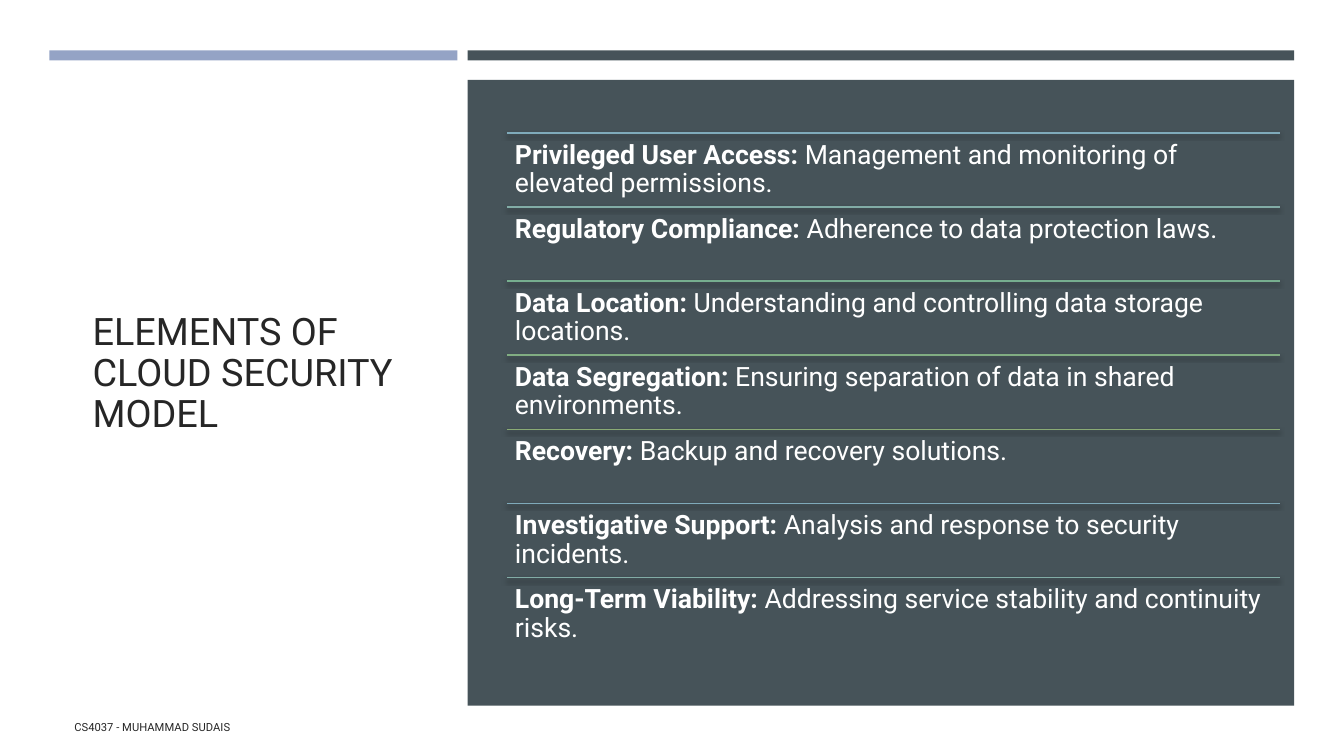
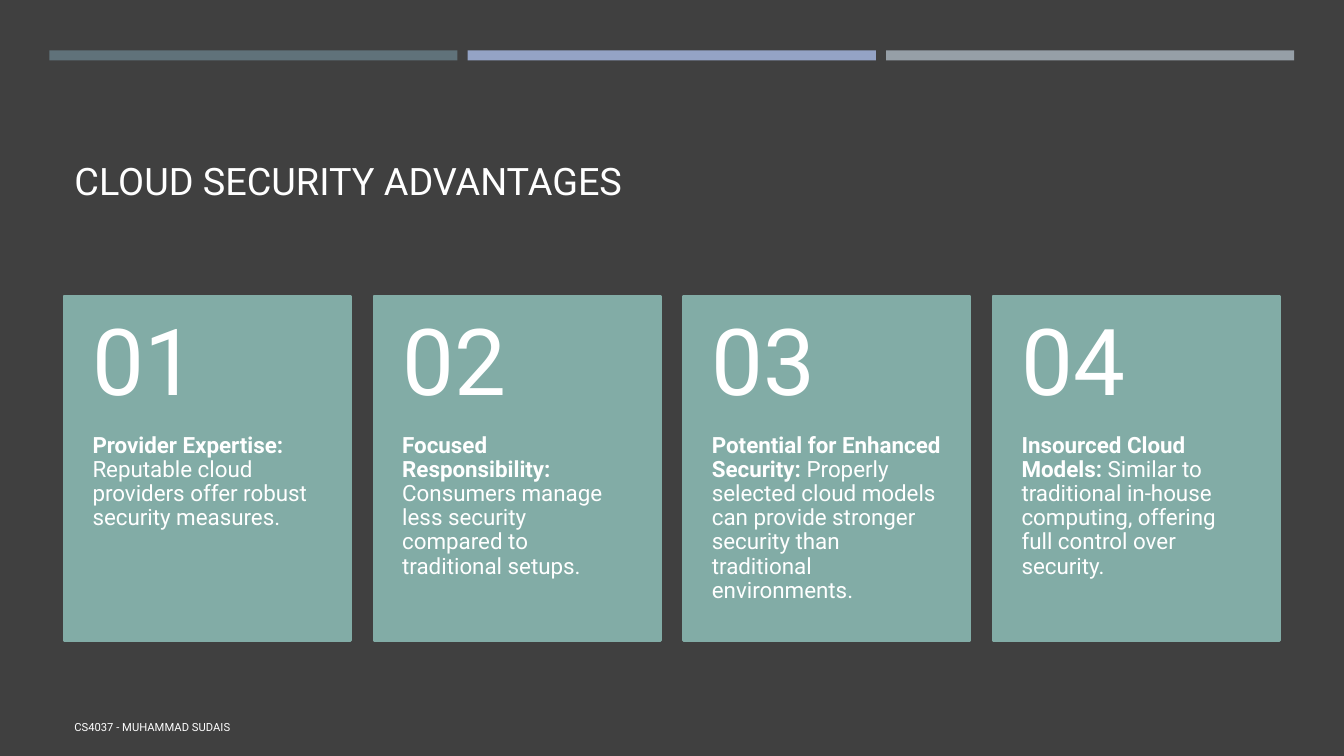
from lxml import etree
from pptx import Presentation
from pptx.dml.color import RGBColor
from pptx.enum.shapes import MSO_CONNECTOR as Connector, MSO_SHAPE as Shape
from pptx.enum.text import MSO_ANCHOR as Anchor, MSO_AUTO_SIZE as AutoSize, PP_ALIGN as Align
from pptx.oxml.ns import qn
from pptx.util import Pt

COLORS = {
    "white": "FFFFFF", "ink": "262626", "charcoal": "404040", "black": "000000",
    "slate": "465359", "steel": "60727A", "lavender": "94A3C5", "gray": "969FA7",
    "teal": "82ACA6", "blue": "7FAABA", "green": "77AE8F", "leaf": "81AD82",
    "olive": "8AAB75",
}
FONT = "Roboto"
FOOTER = "CS4037 - MUHAMMAD SUDAIS"
RULE_COLORS = ["blue", "teal", "green", "leaf", "olive"]

ELEMENTS = {
    "title": "ELEMENTS OF CLOUD SECURITY MODEL",
    "background": "white", "text": "ink",
    "title_area": (59, 82, 240.5, 371), "title_anchor": Anchor.MIDDLE,
    "bands": [("lavender", 1), ("slate", 2)],
    "items": [
        ("Privileged User Access:", " Management and monitoring of elevated permissions."),
        ("Regulatory Compliance:", " Adherence to data protection laws."),
        ("Data Location:", " Understanding and controlling data storage locations."),
        ("Data Segregation:", " Ensuring separation of data in shared environments."),
        ("Recovery:", " Backup and recovery solutions."),
        ("Investigative Support:", " Analysis and response to security incidents."),
        ("Long-Term Viability:", " Addressing service stability and continuity risks."),
    ],
}
ADVANTAGES = {
    "title": "CLOUD SECURITY ADVANTAGES",
    "background": "charcoal", "text": "white",
    "title_area": (46, 55.5, 868, 93.5), "title_anchor": Anchor.BOTTOM,
    "bands": [("steel", 1), ("lavender", 1), ("gray", 1)],
    "items": [
        ("Provider Expertise:", " Reputable cloud providers offer robust security measures."),
        ("Focused Responsibility:",
         " Consumers manage less security compared to traditional setups."),
        ("Potential for Enhanced Security:",
         " Properly selected cloud models can provide stronger security than "
         "traditional environments."),
        ("Insourced Cloud Models:",
         " Similar to traditional in-house computing, offering full control over security."),
    ],
}

BAND_LEFT, BAND_TOP, BAND_HEIGHT = 35.2, 36, 7.2
COLUMN, COLUMN_GAP = 291.5, 7.4
PANEL_TOP, PANEL_HEIGHT = 57, 447
ROW_LEFT, ROW_TOP, ROW_WIDTH, ROW_HEIGHT = 362, 95, 552, 52.9
CARD_LEFT, CARD_TOP, CARD_WIDTH, CARD_HEIGHT = 45.9, 211.6, 204.6, 245.8
CARD_STEP, NUMBER_HEIGHT = 221.2, 98.4


def rgb(name):
    return RGBColor.from_string(COLORS[name])


def points(area):
    return [Pt(value) for value in area]


def column_left(index):
    return BAND_LEFT + index * (COLUMN + COLUMN_GAP)


def columns_width(count):
    return count * COLUMN + (count - 1) * COLUMN_GAP


def write(box, parts, size, color, anchor=Anchor.TOP, insets=(7.2, 3.6, 7.2, 3.6)):
    frame = box.text_frame
    frame.word_wrap = True
    frame.auto_size = AutoSize.NONE
    frame.vertical_anchor = anchor
    (frame.margin_left, frame.margin_top,
     frame.margin_right, frame.margin_bottom) = points(insets)
    para = frame.paragraphs[0]
    para.alignment = Align.LEFT
    para.line_spacing = 0.9
    for text, bold in parts:
        span = para.add_run()
        span.text = text
        span.font.name = FONT
        span.font.size = Pt(size)
        span.font.bold = bold
        span.font.color.rgb = rgb(color)


def add_text(page, area, *args, **options):
    write(page.shapes.add_textbox(*points(area)), *args, **options)


def add_block(page, area, color, outline=None):
    block = page.shapes.add_shape(Shape.RECTANGLE, *points(area))
    block.shadow.inherit = False
    block.fill.solid()
    block.fill.fore_color.rgb = rgb(color)
    if outline:
        block.line.color.rgb = rgb(color)
        block.line.width = Pt(outline)
    else:
        block.line.fill.background()


def add_rule(page, left, top, width, color):
    rule = page.shapes.add_connector(
        Connector.STRAIGHT, *points((left, top, left + width, top)))
    rule.line.color.rgb = rgb(color)
    rule.line.width = Pt(1)
    effects = etree.SubElement(rule._element.spPr, qn("a:effectLst"))
    shadow = etree.SubElement(effects, qn("a:outerShdw"), blurRad=str(Pt(3)),
                              dist=str(Pt(2)), dir="5400000", rotWithShape="0")
    tint = etree.SubElement(shadow, qn("a:srgbClr"), val=COLORS["black"])
    etree.SubElement(tint, qn("a:alpha"), val="55000")


def add_page(deck, content):
    page = deck.slides.add_slide(deck.slide_layouts[5])
    page.background.fill.solid()
    page.background.fill.fore_color.rgb = rgb(content["background"])
    title = page.shapes.title
    title.left, title.top, title.width, title.height = points(content["title_area"])
    write(title, [(content["title"], False)], 27, content["text"], content["title_anchor"])
    start = 0
    for color, count in content["bands"]:
        add_block(page, (column_left(start), BAND_TOP, columns_width(count), BAND_HEIGHT), color)
        start += count
    add_text(page, (46, 505.8, 544, 28.8), [(FOOTER, False)], 8, content["text"], Anchor.MIDDLE)
    return page


def add_rows(page, items):
    add_block(page, (column_left(1), PANEL_TOP, columns_width(2), PANEL_HEIGHT), "slate")
    for index, (label, detail) in enumerate(items):
        top = ROW_TOP + index * ROW_HEIGHT
        add_rule(page, ROW_LEFT, top, ROW_WIDTH, RULE_COLORS[index % len(RULE_COLORS)])
        add_text(page, (ROW_LEFT, top, ROW_WIDTH, ROW_HEIGHT),
                 [(label, True), (detail, False)], 19, "white", insets=(5.8,) * 4)


def add_cards(page, items):
    for index, (label, detail) in enumerate(items):
        left = CARD_LEFT + index * CARD_STEP
        add_block(page, (left, CARD_TOP, CARD_WIDTH, CARD_HEIGHT), "teal", outline=1.75)
        add_text(page, (left, CARD_TOP + NUMBER_HEIGHT, CARD_WIDTH, CARD_HEIGHT - NUMBER_HEIGHT),
                 [(label, True), (detail, False)], 16, "white", insets=(20.2, 0, 20.2, 26))
        add_text(page, (left, CARD_TOP, CARD_WIDTH, NUMBER_HEIGHT),
                 [(f"{index + 1:02}", False)], 66, "white", Anchor.MIDDLE, (20.2, 13, 20.2, 13))


def main():
    deck = Presentation()
    deck.slide_width, deck.slide_height = Pt(960), Pt(540)
    add_rows(add_page(deck, ELEMENTS), ELEMENTS["items"])
    add_cards(add_page(deck, ADVANTAGES), ADVANTAGES["items"])
    deck.save("out.pptx")


if __name__ == "__main__":
    main()
